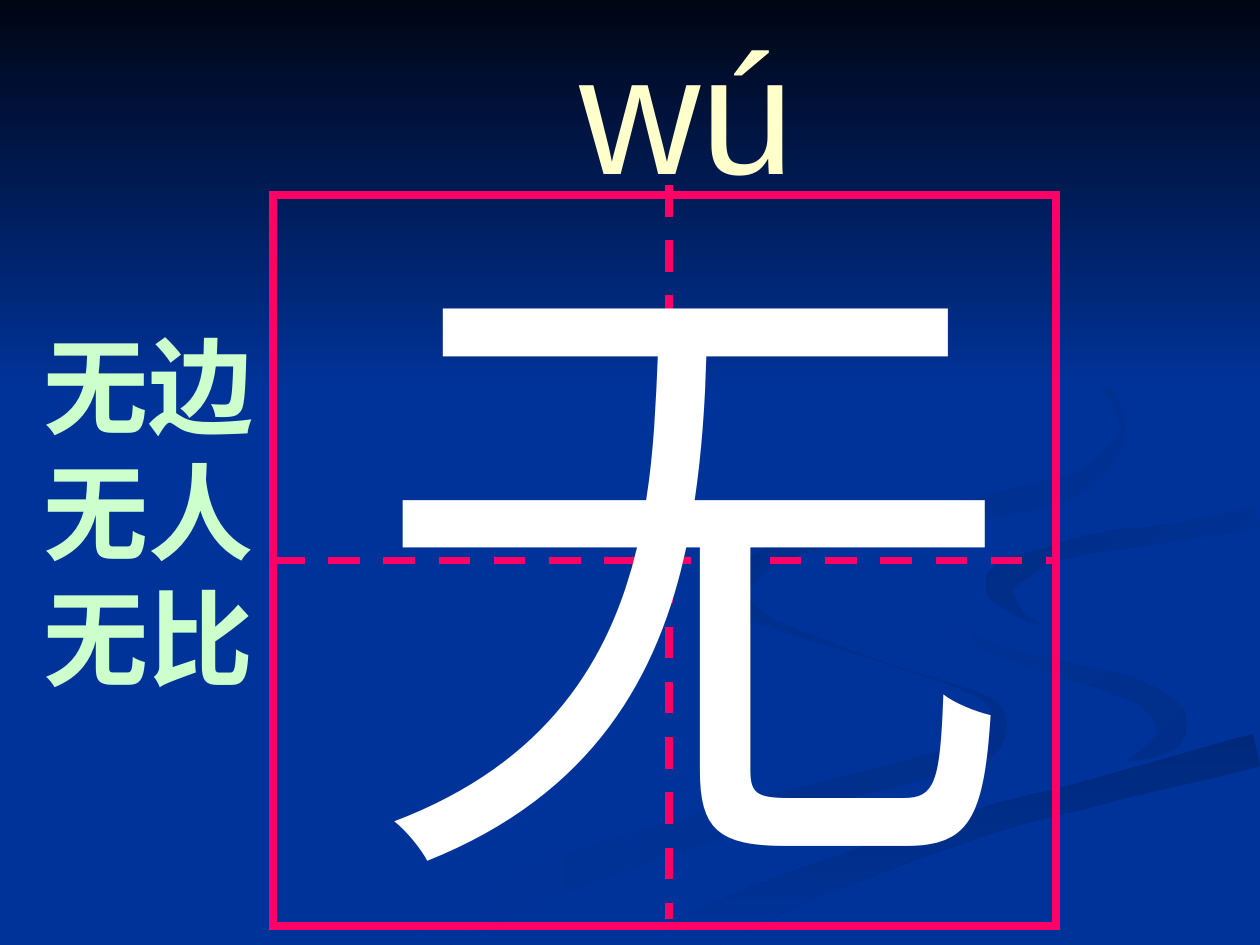
from math import hypot

from lxml import etree
from pptx import Presentation
from pptx.dml.color import RGBColor
from pptx.enum.dml import MSO_LINE
from pptx.enum.shapes import MSO_CONNECTOR, MSO_SHAPE
from pptx.enum.text import MSO_ANCHOR, MSO_AUTO_SIZE, PP_ALIGN
from pptx.oxml.ns import qn
from pptx.util import Pt

EMU_PER_PX = 914400 / 126
WIDTH, HEIGHT = 1260, 945
RECTANGLE = MSO_SHAPE.RECTANGLE
STRAIGHT = MSO_CONNECTOR.STRAIGHT
DASH = MSO_LINE.DASH
TOP = MSO_ANCHOR.TOP
LEFT = PP_ALIGN.LEFT
NO_AUTOFIT = MSO_AUTO_SIZE.NONE
BLUE, PINK = "003399", "FF0066"
STEPS = 5  # curve points between two knots


def px(*lengths):
    return [round(length * EMU_PER_PX) for length in lengths]


def rgb(value):
    return RGBColor.from_string(value)


presentation = Presentation()
presentation.slide_width, presentation.slide_height = px(WIDTH, HEIGHT)
slide = presentation.slides.add_slide(presentation.slide_layouts[5])
shapes = slide.shapes
slide.background.fill.solid()
slide.background.fill.fore_color.rgb = rgb(BLUE)

# Ribbons: first colour, last colour, clockwise angle, and
# knots on the centre line as (x, y, ribbon width)
ribbons = {
    "wide band": (BLUE, BLUE, 0, [
        (1259, 497, 19), (1095, 524, 20), (949, 580, 68), (1110, 660, 30),
        (1225, 715, 60), (1030, 792, 14), (760, 885, 30), (617, 944, 20)]),
    "lower curl": ("002E8A", BLUE, 180, [
        (724, 578, 2), (727, 600, 6), (753, 617, 10), (858, 654, 2),
        (950, 684, 2), (990, 702, 8), (998, 724, 18), (979, 750, 26),
        (908, 772, 22), (738, 817, 26), (534, 885, 36), (425, 940, 40)]),
    "right curl": ("002E8A", BLUE, 225, [
        (912, 585, 1), (919, 606, 4), (944, 625, 10), (1013, 656, 10),
        (1114, 683, 20), (1151, 699, 24), (1171, 721, 32), (1164, 743, 22),
        (1126, 762, 1)]),
    "bottom band": ("00297C", BLUE, 90, [
        (676, 944, 40), (737, 915, 40), (806, 884, 32), (976, 824, 28),
        (1089, 794, 26), (1257, 750, 34)]),
    "right tail": (BLUE, "002C85", 225, [
        (1257, 518, 22), (1177, 532, 18), (1098, 543, 19), (1048, 556, 17),
        (1000, 582, 30), (1018, 612, 8), (1041, 625, 1)]),
    "upper curl": (BLUE, "002B81", 225, [
        (960, 294, 1), (1018, 321, 3), (1093, 372, 9), (1123, 428, 7),
        (1092, 474, 20), (1043, 494, 26), (927, 519, 21), (794, 546, 18),
        (739, 582, 24), (743, 602, 13), (784, 630, 1)]),
}

background_parts = []
for first, last, angle, knots in ribbons.values():
    # Catmull-Rom curve through the knots, end knots doubled
    padded = [knots[0], *knots, knots[-1]]
    centre = []
    for span in zip(padded, padded[1:], padded[2:], padded[3:]):
        for step in range(STEPS):
            t = step / STEPS
            centre.append([
                b + t * (c - a) / 2
                + t**2 * (2 * a - 5 * b + 4 * c - d) / 2
                + t**3 * (3 * b - a - 3 * c + d) / 2
                for a, b, c, d in zip(*span)])
    centre.append(knots[-1])

    # Half the width to each side, at right angles to the curve
    sides = {1: [], -1: []}
    neighbours = zip([centre[0], *centre], centre, [*centre[1:], centre[-1]])
    for before, (x, y, width), after in neighbours:
        dx, dy = after[0] - before[0], after[1] - before[1]
        half = width / 2 / hypot(dx, dy)
        for sign, side in sides.items():
            side.append((min(round(x - sign * dy * half), WIDTH),
                         min(round(y + sign * dx * half), HEIGHT)))
    background_parts.append((first, last, angle, sides[1] + sides[-1][::-1]))

# Dark shade over the top of the slide
shade = [(0, 0), (WIDTH, 0), (WIDTH, 388), (0, 388)]
background_parts.append(("000514", BLUE, 90, shade))

for first, last, angle, outline in background_parts:
    builder = shapes.build_freeform(*outline[0], scale=EMU_PER_PX)
    builder.add_line_segments(outline[1:], close=True)
    part = builder.convert_to_shape()
    part.shadow.inherit = False
    part.line.fill.background()
    if first == last:
        part.fill.solid()
        part.fill.fore_color.rgb = rgb(first)
    else:
        part.fill.gradient()
        part.fill.gradient_angle = 360 - angle
        for stop, color in zip(part.fill.gradient_stops, (first, last)):
            stop.color.rgb = rgb(color)

# Writing square with dashed guides
left, top, width, height = 273, 195, 783, 731
middle = top + height // 2
square = shapes.add_shape(RECTANGLE, *px(left, top, width, height))
square.shadow.inherit = False
square.fill.background()
horizontal = shapes.add_connector(
    STRAIGHT, *px(left, middle, left + width, middle))
horizontal.begin_connect(square, 1)
horizontal.end_connect(square, 3)
vertical = shapes.add_connector(STRAIGHT, *px(669, 185, 669, 919))

for outlined in (square, horizontal, vertical):
    outlined.line.color.rgb = rgb(PINK)
    outlined.line.width = Pt(4.5)
for guide in (horizontal, vertical):
    guide.line.dash_style = DASH
    etree.SubElement(guide.element.spPr, qn("a:effectLst"))
# Sharp corners on the square
square_line = square.element.spPr.find(qn("a:ln"))
etree.SubElement(square_line, qn("a:miter"), lim="800000")

# Character, example words, and the pinyin title in front
character = shapes.add_textbox(*px(357, 156, 648, 789))
words = shapes.add_textbox(*px(31, 315, 258, 391))
pinyin = shapes.title
pinyin.left, pinyin.top, pinyin.width, pinyin.height = px(567, 0, 286, 214)
pinyin.element.getparent().append(pinyin.element)

for box, text, size, font_name, color, bold, wrap in [
    (character, "无", 370, "Times New Roman", "FFFFFF", False, True),
    (words, "无边无人无比", 60, "Arial", "CCFFCC", True, True),
    (pinyin, "wú", 96, "Arial", "FFFFCC", False, False),
]:
    frame = box.text_frame
    frame.auto_size = NO_AUTOFIT
    frame.word_wrap = wrap
    frame.vertical_anchor = TOP
    paragraph = frame.paragraphs[0]
    paragraph.alignment = LEFT
    run = paragraph.add_run()
    run.text = text
    run.font.size = Pt(size)
    run.font.name = font_name
    run.font.bold = bold
    run.font.color.rgb = rgb(color)

presentation.save("out.pptx")
